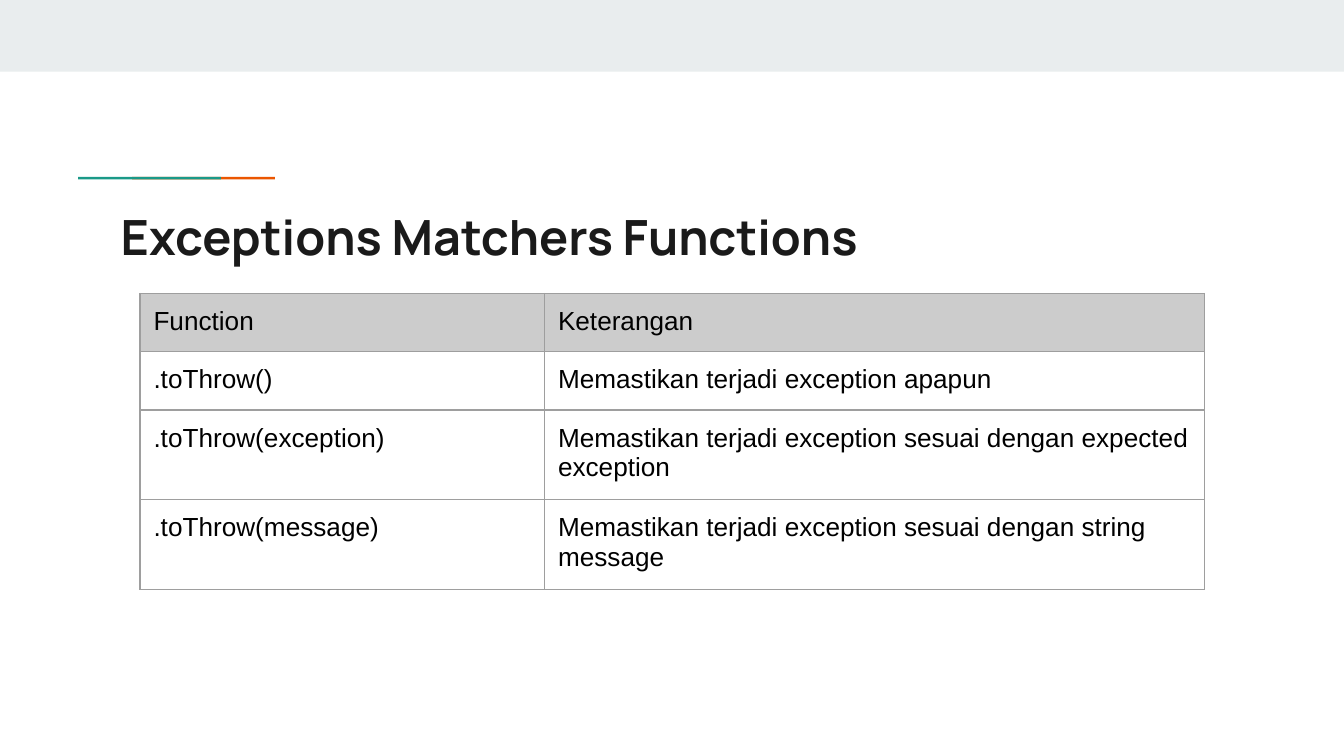
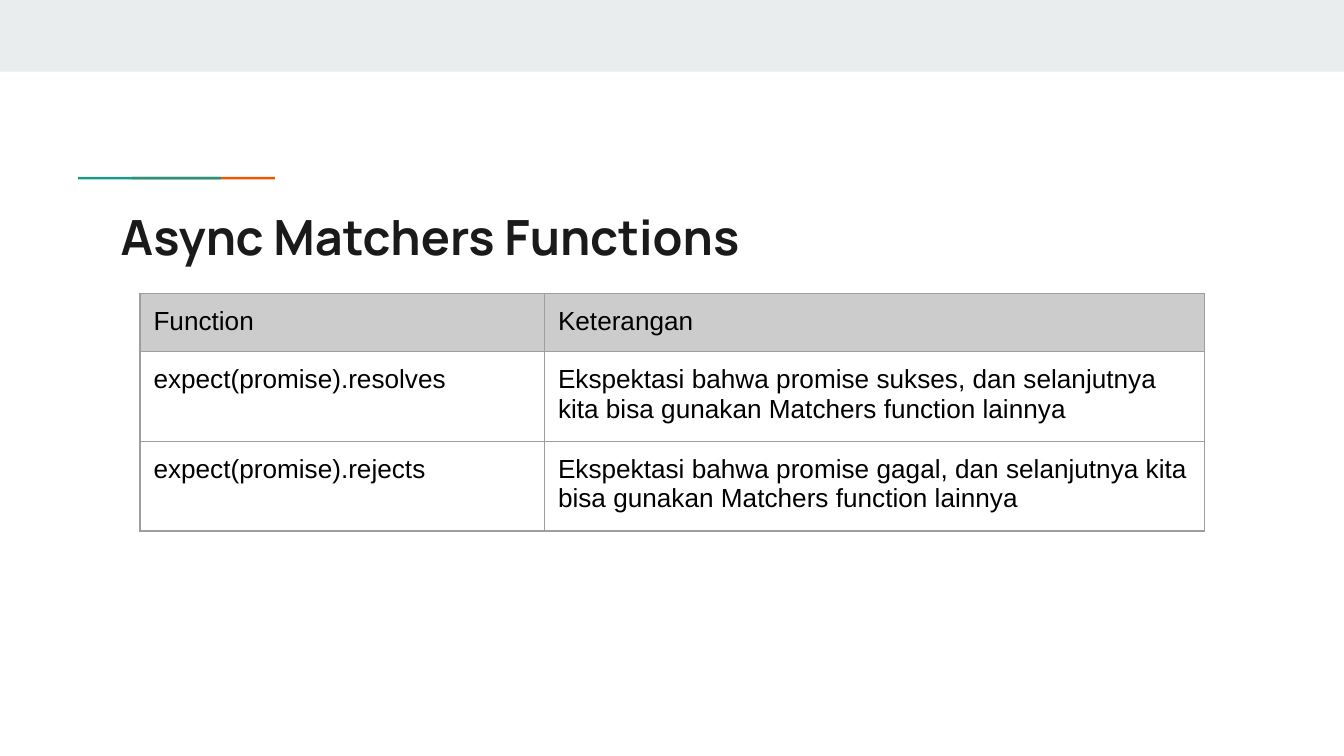
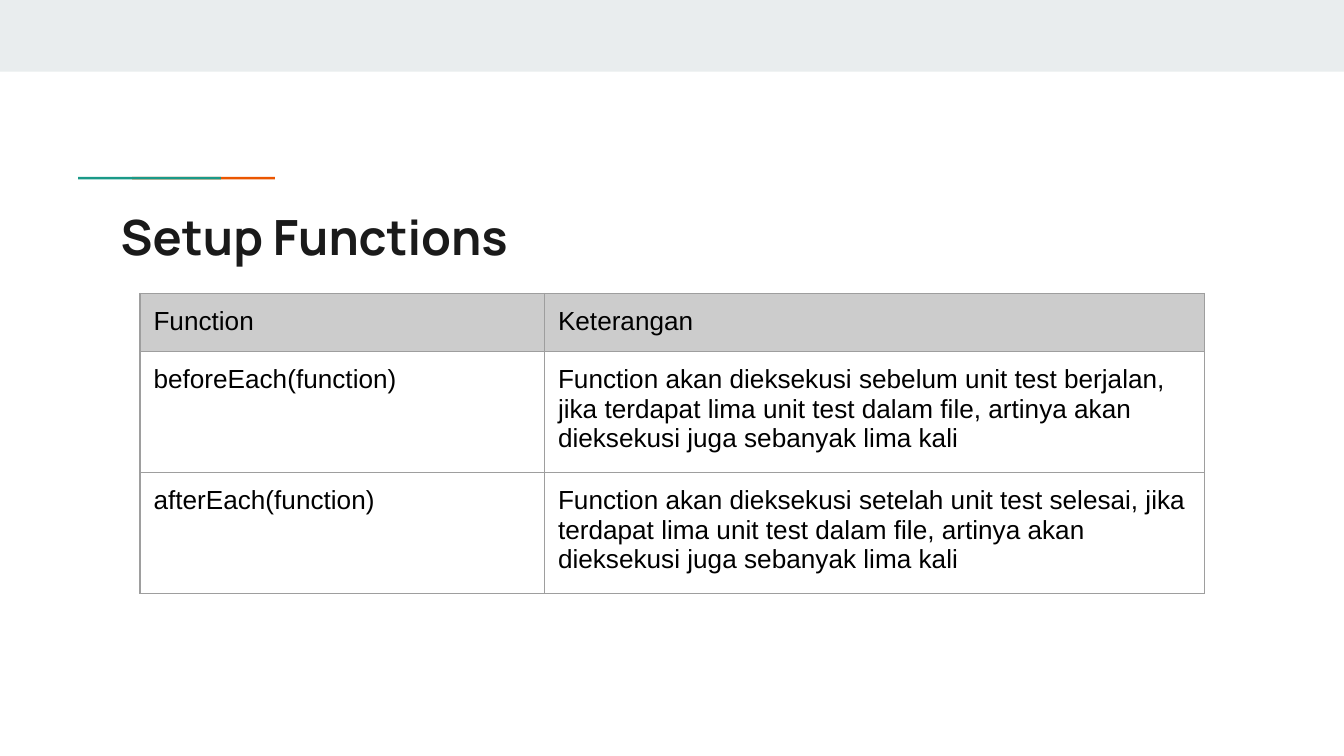
import pptx
import pptx.util
import pptx.dml.color
import pptx.enum.shapes
import pptx.oxml.ns
from lxml import etree

WIDE = pptx.util.Inches(10)
HIGH = WIDE * 9 // 16
UNIT = WIDE // 100  # side of a square grid cell: 100 columns across

COLORS = {
    "band": "E9EDEE",
    "teal": "1A9988",
    "orange": "EB5600",
    "title": "1A1A1A",
    "text": "000000",
    "head": "CCCCCC",
    "border": "9E9E9E",
}
HEAD = ("Function", "Keterangan")
COLS = (30.1, 49.1)
ROW = 4.16
TALL = 32.8  # nominal table height; rows keep their own
STRETCH = 2.59  # widening of the accent group

SLIDES = [
    ("Exceptions Matchers Functions", [
        (".toThrow()", "Memastikan terjadi exception apapun"),
        (".toThrow(exception)",
         "Memastikan terjadi exception sesuai dengan expected exception"),
        (".toThrow(message)",
         "Memastikan terjadi exception sesuai dengan string message"),
    ]),
    ("Async Matchers Functions", [
        ("expect(promise).resolves",
         "Ekspektasi bahwa promise sukses, dan selanjutnya kita bisa "
         "gunakan Matchers function lainnya"),
        ("expect(promise).rejects",
         "Ekspektasi bahwa promise gagal, dan selanjutnya kita bisa "
         "gunakan Matchers function lainnya"),
    ]),
    ("Setup Functions", [
        ("beforeEach(function)",
         "Function akan dieksekusi sebelum unit test berjalan, jika terdapat "
         "lima unit test dalam file, artinya akan dieksekusi juga sebanyak "
         "lima kali"),
        ("afterEach(function)",
         "Function akan dieksekusi setelah unit test selesai, jika terdapat "
         "lima unit test dalam file, artinya akan dieksekusi juga sebanyak "
         "lima kali"),
    ]),
]


def grid(*cells):
    return [round(cell * UNIT) for cell in cells]


def color(name):
    return pptx.dml.color.RGBColor.from_string(COLORS[name])


def inset(box):
    box.margin_left = box.margin_right = UNIT
    box.margin_top = box.margin_bottom = UNIT


def write(frame, text, face, size, tone, bold=False):
    para = frame.paragraphs[0]
    para.text = text
    font = para.font
    font.name, font.size, font.bold = face, pptx.util.Pt(size), bold
    font.color.rgb = color(tone)


def bar(shapes, tone, *place):
    kind = pptx.enum.shapes.MSO_SHAPE.RECTANGLE
    shape = shapes.add_shape(kind, *grid(*place))
    shape.shadow.inherit = False
    shape.fill.solid()
    shape.fill.fore_color.rgb = color(tone)
    shape.line.fill.background()
    return shape


def frame_slide(slide, title):
    # Top band
    bar(slide.shapes, "band", 0, 0, 100, 5.33)
    # Two-tone accent: upright bars laid flat in a widened group
    group = slide.shapes.add_group_shape()
    for tone, left in (("orange", 12.43), ("teal", 10.88)):
        bar(group.shapes, tone, left, 11.2, 0.19, 4.1).rotation = 270
    group.width = round(group.width * STRETCH)
    # Title
    box = slide.shapes.add_textbox(*grid(8, 14.4, 84.1, 5.9))
    box.text_frame.word_wrap = True
    inset(box.text_frame)
    write(box.text_frame, title, "Manrope", 26, "title", True)


def outline(cell):
    props = cell._tc.get_or_add_tcPr()
    tag = pptx.oxml.ns.qn
    for side in ("a:lnL", "a:lnR", "a:lnT", "a:lnB"):
        line = etree.SubElement(props, tag(side), w=str(pptx.util.Pt(0.75)))
        fill = etree.SubElement(line, tag("a:solidFill"))
        etree.SubElement(fill, tag("a:srgbClr"), val=COLORS["border"])


def add_grid(slide, rows):
    place = grid(10.42, 21.83, sum(COLS), ROW * len(rows))
    frame = slide.shapes.add_table(len(rows), len(COLS), *place)
    table = frame.table
    table.horz_banding = table.first_row = False
    for col, wide in zip(table.columns, grid(*COLS)):
        col.width = wide
    frame.height = grid(TALL)[0]
    for i, row in enumerate(rows):
        for j, text in enumerate(row):
            cell = table.cell(i, j)
            write(cell.text_frame, text, "Arial", 14, "text")
            inset(cell)
            outline(cell)
            if i == 0:
                cell.fill.solid()
                cell.fill.fore_color.rgb = color("head")
            else:
                cell.fill.background()


def main():
    deck = pptx.Presentation()
    deck.slide_width, deck.slide_height = WIDE, HIGH
    for title, rows in SLIDES:
        slide = deck.slides.add_slide(deck.slide_layouts[6])
        frame_slide(slide, title)
        add_grid(slide, [HEAD] + rows)
    deck.save("out.pptx")


if __name__ == "__main__":
    main()
